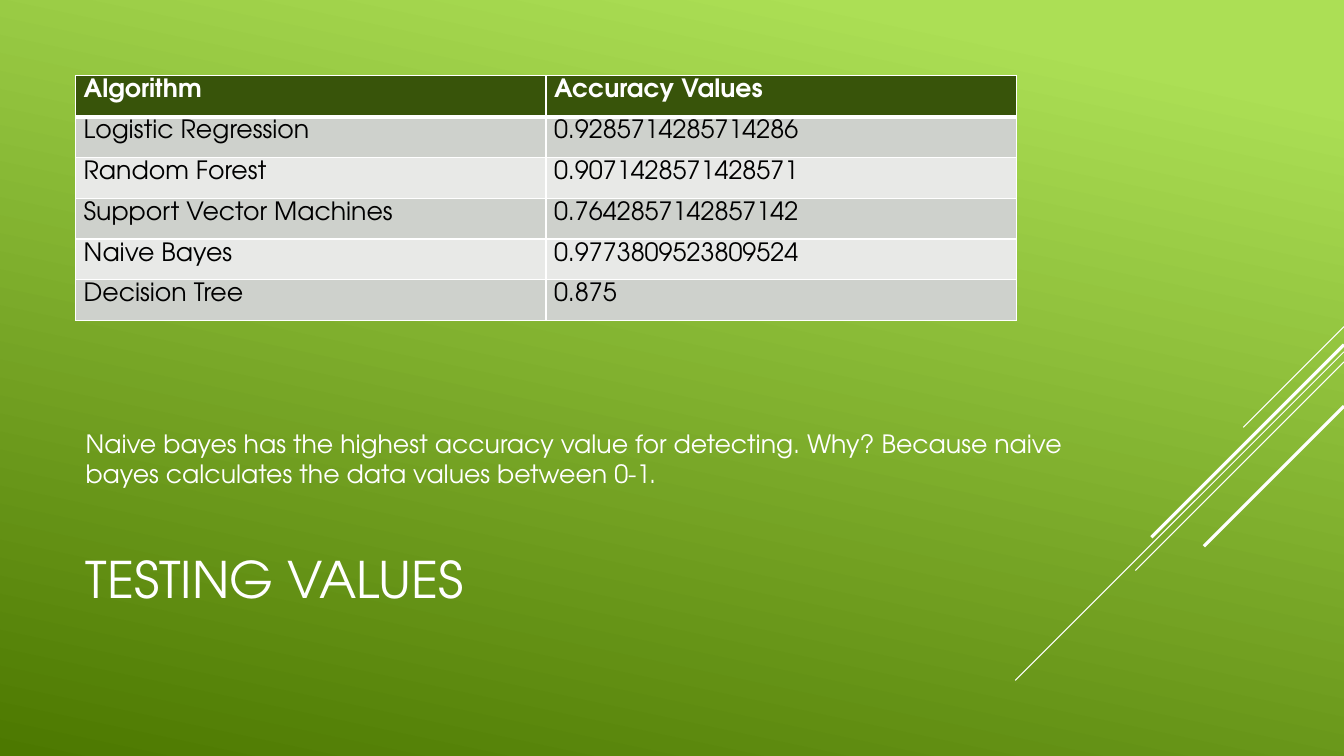
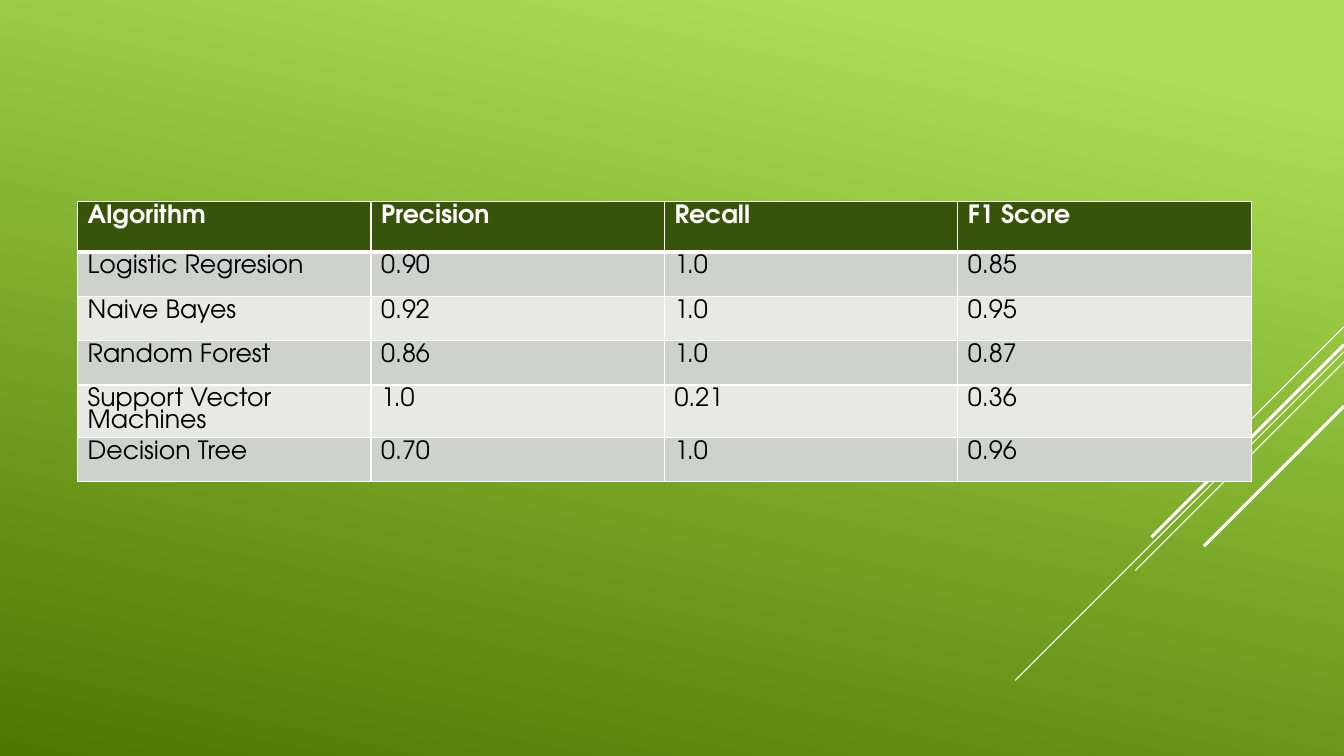
from dataclasses import dataclass

from lxml import etree
from pptx import Presentation
from pptx.dml.color import RGBColor
from pptx.enum.shapes import MSO_CONNECTOR
from pptx.enum.text import MSO_ANCHOR, PP_ALIGN
from pptx.oxml.ns import qn
from pptx.slide import Slide
from pptx.table import _Cell
from pptx.text.text import TextFrame
from pptx.util import Inches, Pt

STRAIGHT = MSO_CONNECTOR.STRAIGHT
MIDDLE = MSO_ANCHOR.MIDDLE
LEFT = PP_ALIGN.LEFT
TITLE_ONLY = 5
BLANK = 6

FONT = "TeX Gyre Adventor"
COLORS = {
    "light_green": "ACDF55",
    "dark_green": "4C7800",
    "header": "38540A",
    "odd_row": "CED1CC",
    "even_row": "E8E9E7",
    "white": "FFFFFF",
    "black": "000000",
}
SLIDE_WIDTH = 13.33
SLIDE_HEIGHT = 7.5
BODY_SIZE = 18
TITLE_SIZE = 36
THIN_BORDER = 1
THICK_BORDER = 3
TABLE_LINE_SPACING = 0.9


@dataclass(frozen=True)
class Ray:
    top: float
    reach: float
    weight: float


@dataclass(frozen=True)
class Grid:
    left: float
    top: float
    width: float
    height: float
    header_height: float
    side_margin: float
    rows: tuple[tuple[str, ...], ...]


RAYS = (
    Ray(3.24, 1.0, 0.75),
    Ray(3.49, 3.26, 0.75),
    Ray(3.59, 2.07, 0.75),
    Ray(3.42, 1.91, 2.25),
    Ray(4.03, 1.39, 2.25),
)

ACCURACY = Grid(0.75, 0.75, 9.33, 2.43, 0.41, 0.08, (
    ("Algorithm", "Accuracy Values"),
    ("Logistic Regression", "0.9285714285714286"),
    ("Random Forest", "0.9071428571428571"),
    ("Support Vector Machines", "0.7642857142857142"),
    ("Naive Bayes", "0.9773809523809524"),
    ("Decision Tree", "0.875"),
))

SCORES = Grid(0.77, 2.0, 11.64, 2.7, 0.5, 0.1, (
    ("Algorithm", "Precision", "Recall", "F1 Score"),
    ("Logistic Regresion", "0.90", "1.0", "0.85"),
    ("Naive Bayes", "0.92", "1.0", "0.95"),
    ("Random Forest", "0.86", "1.0", "0.87"),
    ("Support Vector Machines", "1.0", "0.21", "0.36"),
    ("Decision Tree", "0.70", "1.0", "0.96"),
))


def rgb(name: str) -> RGBColor:
    return RGBColor.from_string(COLORS[name])


def write(frame: TextFrame, text: str, size: float, color: str,
          bold: bool = False, spacing: float = 1.0) -> None:
    frame.text = text
    frame.word_wrap = True
    for para in frame.paragraphs:
        para.alignment = LEFT
        para.line_spacing = spacing
        for span in para.runs:
            span.font.name = FONT
            span.font.size = Pt(size)
            span.font.bold = bold
            span.font.color.rgb = rgb(color)


def set_borders(cell: _Cell, row: int) -> None:
    weights = {
        "a:lnL": THIN_BORDER,
        "a:lnR": THIN_BORDER,
        "a:lnT": THICK_BORDER if row == 1 else THIN_BORDER,
        "a:lnB": THICK_BORDER if row == 0 else THIN_BORDER,
    }
    properties = cell._tc.get_or_add_tcPr()
    for tag, weight in weights.items():
        line = etree.SubElement(properties, qn(tag), w=str(Pt(weight)))
        fill = etree.SubElement(line, qn("a:solidFill"))
        etree.SubElement(fill, qn("a:srgbClr"), val=COLORS["white"])


def style_cell(cell: _Cell, row: int, text: str, side_margin: float) -> None:
    is_header = row == 0
    cell.margin_left = cell.margin_right = Inches(side_margin)
    cell.margin_top = cell.margin_bottom = Inches(0.05)
    set_borders(cell, row)
    cell.fill.solid()
    row_color = "odd_row" if row % 2 else "even_row"
    cell.fill.fore_color.rgb = rgb("header" if is_header else row_color)
    write(cell.text_frame, text, BODY_SIZE, "white" if is_header else "black",
          is_header, TABLE_LINE_SPACING)


def add_grid(page: Slide, grid: Grid) -> None:
    row_count, column_count = len(grid.rows), len(grid.rows[0])
    row_height = (grid.height - grid.header_height) / (row_count - 1)
    table = page.shapes.add_table(
        row_count, column_count, Inches(grid.left), Inches(grid.top),
        Inches(grid.width), Inches(grid.height)).table
    for column in table.columns:
        column.width = Inches(grid.width / column_count)
    for row, texts in enumerate(grid.rows):
        table.rows[row].height = Inches(row_height if row else grid.header_height)
        for column, text in enumerate(texts):
            style_cell(table.cell(row, column), row, text, grid.side_margin)


def add_rays(page: Slide) -> None:
    for ray in RAYS:
        line = page.shapes.add_connector(
            STRAIGHT, Inches(SLIDE_WIDTH), Inches(ray.top),
            Inches(SLIDE_WIDTH - ray.reach), Inches(ray.top + ray.reach))
        line.line.color.rgb = rgb("white")
        line.line.width = Pt(ray.weight)
        etree.SubElement(line._element.spPr, qn("a:effectLst"))


def set_background(deck: Presentation) -> None:
    fill = deck.slide_master.background.fill
    fill.gradient()
    fill.gradient_angle = 258
    stops = ((0.1, "light_green"), (1.0, "dark_green"))
    for stop, (position, color) in zip(fill.gradient_stops, stops):
        stop.position = position
        stop.color.rgb = rgb(color)


def add_page(deck: Presentation, layout: int) -> Slide:
    page = deck.slides.add_slide(deck.slide_layouts[layout])
    add_rays(page)
    return page


def add_testing_page(deck: Presentation) -> None:
    page = add_page(deck, TITLE_ONLY)
    title = page.shapes.title
    title.left, title.top = Inches(0.75), Inches(4.91)
    title.width, title.height = Inches(9.33), Inches(1.65)
    title.text_frame.vertical_anchor = MIDDLE
    write(title.text_frame, "TESTING VALUES", TITLE_SIZE, "white")
    add_grid(page, ACCURACY)
    box = page.shapes.add_textbox(Inches(0.75), Inches(4.2), Inches(9.97), Inches(0.71))
    write(box.text_frame,
          "Naive bayes has the highest accuracy value for detecting. Why? "
          "Because naive bayes calculates the data values between 0-1.",
          BODY_SIZE, "white")


def add_scores_page(deck: Presentation) -> None:
    add_grid(add_page(deck, BLANK), SCORES)


def main() -> None:
    deck = Presentation()
    deck.slide_width = Inches(SLIDE_WIDTH)
    deck.slide_height = Inches(SLIDE_HEIGHT)
    set_background(deck)
    add_testing_page(deck)
    add_scores_page(deck)
    deck.save("out.pptx")


if __name__ == "__main__":
    main()
